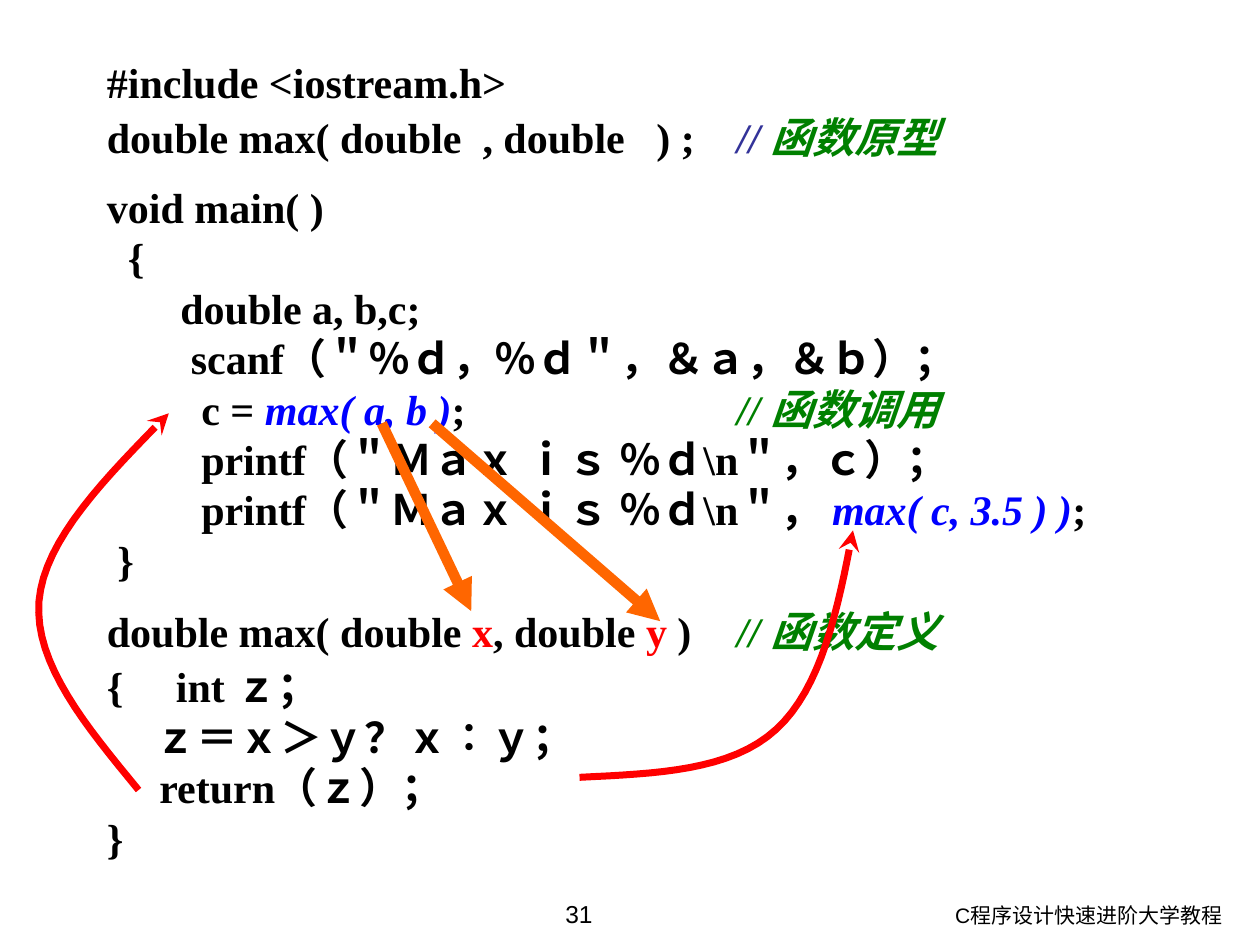
import pptx
import pptx.util
import pptx.dml.color
import pptx.enum.shapes
import pptx.enum.text
import pptx.oxml.ns
from lxml import etree

Inches, Pt = pptx.util.Inches, pptx.util.Pt
ALIGN = pptx.enum.text.PP_ALIGN
WIDTH, HEIGHT = 10, 7.5
COLORS = {"text": "000000", "paper": "FFFFFF", "slashes": "333399", "comment": "008000",
          "call": "0000FF", "parameter": "FF0000", "pass": "FF6600", "return": "FF0000"}
ITALIC_STYLES = {"slashes", "comment", "call"}

# Code lines: runs of (text, style), then line spacing, space before in points, alignment
PLAIN = (1.0, 0, ALIGN.LEFT)
WIDE = (1.1, 0, ALIGN.JUSTIFY)
CODE = [
    ([("#include <iostream.h>", "text")], WIDE),
    ([("double max( double  , double   ) ;\t", "text"), ("// ", "slashes"),
      ("函数原型", "comment")], WIDE),
    ([("void main( )", "text")], (1.0, 11, ALIGN.LEFT)),
    ([("  {", "text")], PLAIN),
    ([("       double a, b,c;", "text")], PLAIN),
    ([("        scanf（＂％ｄ，％ｄ＂，＆ａ，＆ｂ）；", "text")], PLAIN),
    ([("         c = ", "text"), ("max( a, b )", "call"), (";\t", "text"),
      ("// 函数调用", "comment")], PLAIN),
    ([("         printf（＂Ｍａｘ ｉｓ ％ｄ\\n＂，ｃ）；", "text")], PLAIN),
    ([("         printf（＂Ｍａｘ ｉｓ ％ｄ\\n＂， ", "text"), ("max( c, 3.5 ) )", "call"),
      (";", "text")], PLAIN),
    ([(" }", "text")], PLAIN),
    ([("double max( double ", "text"), ("x", "parameter"), (", double ", "text"),
      ("y", "parameter"), (" )\t", "text"), ("// 函数定义", "comment")],
     (1.1, 9, ALIGN.JUSTIFY)),
    ([("{     int ｚ；", "text")], (1.1, 0, ALIGN.LEFT)),
    ([("     ｚ＝ｘ＞ｙ？ｘ∶ｙ；", "text")], PLAIN),
    ([("     return（ｚ）；", "text")], PLAIN),
    ([("}", "text")], PLAIN),
]
COMMENT_TAB = 5  # inches from the left edge of the text

# Footer: text, box as shares of the slide, size, alignment
FOOTER = [
    ("C程序设计快速进阶大学教程", (0.657, 0.948, 0.323, 0.052), 12, ALIGN.RIGHT),
    ("31", (0.343, 0.945, 0.233, 0.055), 14, ALIGN.CENTER),
]

# Arguments to parameters (straight), returned values to calls (Bézier points)
ARGUMENT_ARROWS = [((3.03, 3.36), (3.74, 4.85)), ((3.43, 3.36), (5.24, 4.93))]
RETURN_CURVES = [
    [(1.1, 6.27), (0.69, 5.77), (0.27, 5.27), (0.31, 4.77),
     (0.35, 4.28), (0.85, 3.78), (1.34, 3.28)],
    [(4.6, 6.17), (5.21, 6.14), (5.8, 6.12), (6.16, 5.79),
     (6.52, 5.46), (6.65, 4.84), (6.77, 4.21)],
]
CURVE_STEPS = 16


def rgb(name):
    return pptx.dml.color.RGBColor.from_string(COLORS[name])


def style_font(paragraph, font_name, size, bold=False):
    paragraph.font.name = font_name
    paragraph.font.size = Pt(size)
    paragraph.font.bold = bold
    paragraph.font.color.rgb = rgb("text")


def style_arrow(line, color, width, head):
    line.color.rgb = rgb(color)
    line.width = Pt(width)
    etree.SubElement(line._get_or_add_ln(), pptx.oxml.ns.qn("a:tailEnd"), type=head)


def add_tab(paragraph, position):
    tabs = etree.SubElement(paragraph._p.get_or_add_pPr(), pptx.oxml.ns.qn("a:tabLst"))
    etree.SubElement(tabs, pptx.oxml.ns.qn("a:tab"), pos=str(Inches(position)), algn="l")


def curve_points(points):
    """Points in EMU along joined cubic Bézier pieces, after the start."""
    for first in range(0, len(points) - 1, 3):
        piece = points[first:first + 4]
        for step in range(1, CURVE_STEPS + 1):
            t = step / CURVE_STEPS
            weights = ((1 - t) ** 3, 3 * t * (1 - t) ** 2, 3 * t * t * (1 - t), t ** 3)
            yield tuple(Inches(sum(w * point[axis] for w, point in zip(weights, piece)))
                        for axis in (0, 1))


presentation = pptx.Presentation()
presentation.slide_width, presentation.slide_height = Inches(WIDTH), Inches(HEIGHT)
slide = presentation.slides.add_slide(presentation.slide_layouts[6])

# Footer
for text, (left, top, width, height), size, alignment in FOOTER:
    box = slide.shapes.add_textbox(Inches(left * WIDTH), Inches(top * HEIGHT),
                                   Inches(width * WIDTH), Inches(height * HEIGHT))
    box.text_frame.word_wrap = True
    paragraph = box.text_frame.paragraphs[0]
    paragraph.text = text
    paragraph.alignment = alignment
    style_font(paragraph, "Arial", size)

# Code panel
panel = slide.shapes.add_shape(pptx.enum.shapes.MSO_SHAPE.RECTANGLE, Inches(0.75),
                               Inches(0.36), Inches(8.82), Inches(6.54))
panel.shadow.inherit = False
panel.fill.solid()
panel.fill.fore_color.rgb = rgb("paper")
panel.line.color.rgb = rgb("paper")
panel.line.width = Pt(0.75)
frame = panel.text_frame
frame.word_wrap = True
frame.vertical_anchor = pptx.enum.text.MSO_ANCHOR.TOP
for index, (runs, (spacing, before, alignment)) in enumerate(CODE):
    paragraph = frame.add_paragraph() if index else frame.paragraphs[0]
    if any("\t" in text for text, style in runs):
        add_tab(paragraph, COMMENT_TAB)
    paragraph.alignment = alignment
    paragraph.line_spacing = spacing
    paragraph.space_before = Pt(before)
    style_font(paragraph, "Times New Roman", 24, bold=True)
    for text, style in runs:
        run = paragraph.add_run()
        run.text = text
        if style != "text":
            run.font.color.rgb = rgb(style)
            run.font.italic = style in ITALIC_STYLES

# Argument arrows
for start, end in ARGUMENT_ARROWS:
    connector = slide.shapes.add_connector(pptx.enum.shapes.MSO_CONNECTOR.STRAIGHT,
                                           *map(Inches, start + end))
    style_arrow(connector.line, "pass", 6, "triangle")
    etree.SubElement(connector._element.spPr, pptx.oxml.ns.qn("a:effectLst"))

# Return curves
for points in RETURN_CURVES:
    builder = slide.shapes.build_freeform(*map(Inches, points[0]))
    builder.add_line_segments(curve_points(points), close=False)
    curve = builder.convert_to_shape()
    curve.shadow.inherit = False
    curve.fill.background()
    style_arrow(curve.line, "return", 4, "stealth")

presentation.save("out.pptx")
